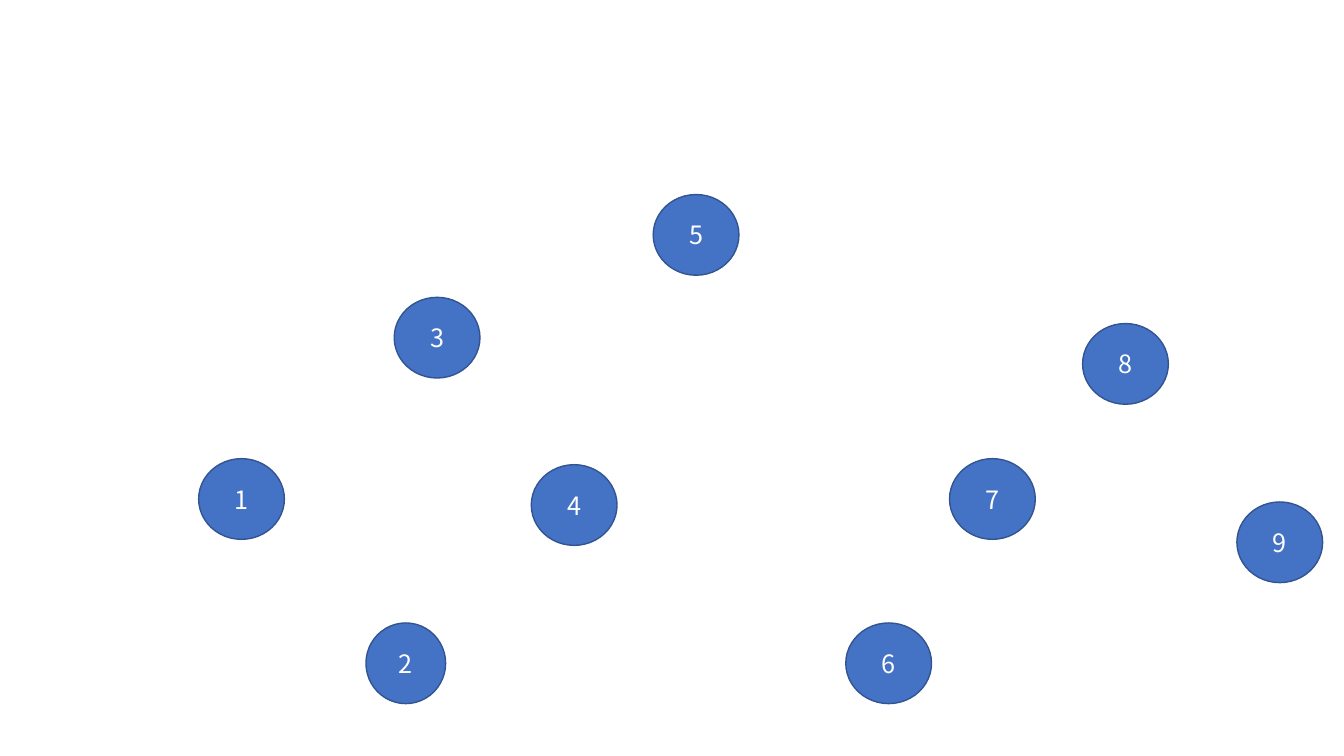
import pptx
import pptx.dml.color
import pptx.enum.shapes
import pptx.enum.text
import pptx.util

FONT = "Noto Sans CJK SC"


def color(hex_string):
    return pptx.dml.color.RGBColor.from_string(hex_string)


presentation = pptx.Presentation()
presentation.slide_width = pptx.util.Inches(13.333)
presentation.slide_height = pptx.util.Inches(7.5)
slide = presentation.slides.add_slide(presentation.slide_layouts[6])

# Lengths are percentages of the slide's width and height
column = presentation.slide_width / 100
row = presentation.slide_height / 100

# Tree nodes: label, left, top; node 2 is slightly narrower
node_width, narrow_width, node_height = 6.38, 5.93, 10.67
upper_row, middle_row, bottom_row = 39.33, 60.67, 82.4
nodes = [
    ("2", 27.23, bottom_row),
    ("3", 29.33, upper_row),
    ("4", 39.53, 61.47),
    ("5", 48.6, 25.73),
    ("6", 62.93, bottom_row),
    ("7", 70.65, middle_row),
    ("8", 80.55, 42.8),
    ("9", 92.03, 66.4),
    ("1", 14.78, middle_row),
]

for label, left, top in nodes:
    width = narrow_width if label == "2" else node_width
    shape = slide.shapes.add_shape(
        pptx.enum.shapes.MSO_SHAPE.OVAL,
        round(left * column), round(top * row),
        round(width * column), round(node_height * row))
    shape.name = f"Node {label}"
    shape.shadow.inherit = False
    shape.fill.solid()
    shape.fill.fore_color.rgb = color("4472C4")
    shape.line.color.rgb = color("325491")
    shape.line.width = pptx.util.Pt(1)

    # Node number
    shape.text_frame.vertical_anchor = pptx.enum.text.MSO_ANCHOR.MIDDLE
    paragraph = shape.text_frame.paragraphs[0]
    paragraph.alignment = pptx.enum.text.PP_ALIGN.CENTER
    run = paragraph.add_run()
    run.text = label
    run.font.name = FONT
    run.font.size = pptx.util.Pt(18)
    run.font.color.rgb = color("FFFFFF")

presentation.save("out.pptx")
